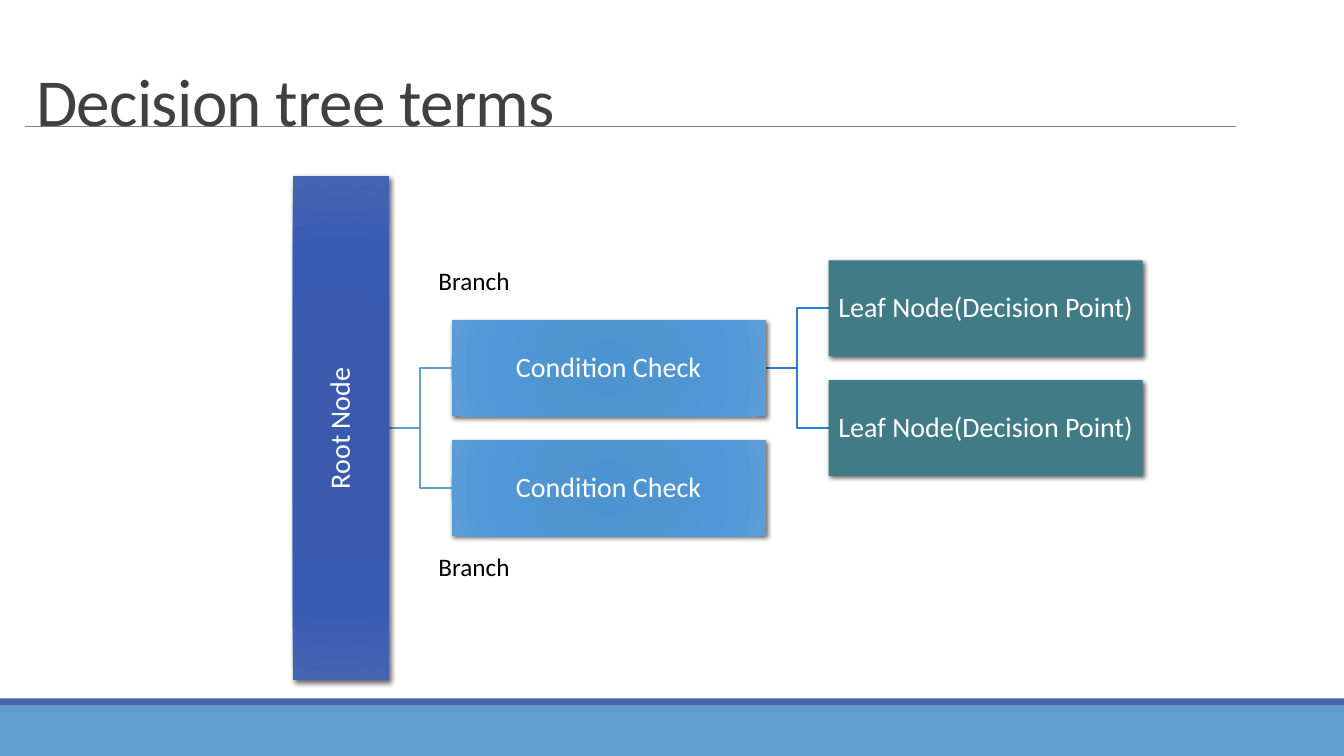
"""Build the slide of decision tree terms."""
from dataclasses import dataclass
from typing import Any

from pptx import Presentation
from pptx.dml.color import RGBColor
from pptx.enum.shapes import MSO_CONNECTOR, MSO_SHAPE
from pptx.enum.text import MSO_ANCHOR, PP_ALIGN
from pptx.oxml import parse_xml
from pptx.oxml.ns import nsdecls, qn
from pptx.util import Cm, Pt

HUES = {
    "sky": "629DD1", "navy": "4A66AC", "rule": "808080", "title": "404040",
    "link": "297FD5", "leaf": "417B85", "white": "FFFFFF", "black": "000000",
}
BLENDS = {
    "root": ("3759AE", "3A5BAD", "395BB2", "4564B1"),
    "check": ("4C93D2", "4F95D2", "4E97D8", "5C9DD7"),
}
STOPS = (0, 34, 70, 100)
WIDE, TALL = 33.87, 19.05
NODE_W, NODE_H, GAP, STEP = 7.92, 2.42, 1.58, 1.51
ROOT_X, ROOT_W, MID_Y = 8.59, 12.7, 10.79
CHECK_X = ROOT_X + NODE_H / 2 + GAP
LEAF_X = CHECK_X + NODE_W + GAP

FRAME = {"word_wrap": True}
NODE_FRAME = FRAME | {"vertical_anchor": MSO_ANCHOR.MIDDLE} | {
    f"margin_{side}": Cm(0.03) for side in ("left", "top", "right", "bottom")}
NODE_PARA = {"alignment": PP_ALIGN.CENTER, "line_spacing": 0.9}


@dataclass
class Node:
    text: str
    left: float
    row: int
    hue: str
    width: float = NODE_W
    turn: int = 0


@dataclass
class Link:
    left: float
    start: int
    end: int
    hue: str


@dataclass
class Bar:
    top: float
    height: float
    hue: str


BARS = (Bar(17.78, 1.27, "sky"), Bar(17.6, 0.18, "navy"))
LINKS = (
    Link(CHECK_X - GAP, 0, 1, "sky"), Link(LEAF_X - GAP, -1, 0, "link"),
    Link(LEAF_X - GAP, -1, -2, "link"), Link(CHECK_X - GAP, 0, -1, "sky"),
)
NODES = (
    Node("Root Node", ROOT_X - ROOT_W / 2, 0, "root", ROOT_W, 270),
    Node("Condition Check", CHECK_X, -1, "check"),
    Node("Leaf Node(Decision Point)", LEAF_X, -2, "leaf"),
    Node("Leaf Node(Decision Point)", LEAF_X, 0, "leaf"),
    Node("Condition Check", CHECK_X, 1, "check"),
)


def apply(thing: Any, format: dict[str, Any]) -> None:
    """Set each format value on the thing."""
    for name, value in format.items():
        setattr(thing, name, value)


def tint(hue: str) -> RGBColor:
    """Give the colour of a named hue."""
    return RGBColor.from_string(HUES[hue])


def row_y(row: int) -> float:
    """Give the centre height of a row."""
    return MID_Y + row * STEP


def write(shape: Any, text: str, size: int, hue: str, frame: dict[str, Any],
          para: dict[str, Any]) -> Any:
    """Fill a shape with one line of text."""
    apply(shape.text_frame, frame)
    line = shape.text_frame.paragraphs[0]
    apply(line, para)
    run = line.add_run()
    run.text = text
    apply(run.font, {"name": "Calibri", "size": Pt(size)})
    run.font.color.rgb = tint(hue)
    return run


def add_box(slide: Any, left: float, top: float, width: float, height: float,
            hue: str) -> Any:
    """Draw a box with a plain or blended fill."""
    box = slide.shapes.add_shape(
        MSO_SHAPE.RECTANGLE, Cm(left), Cm(top), Cm(width), Cm(height))
    if hue in BLENDS:
        stops = "".join(
            f'<a:gs pos="{stop * 1000}"><a:srgbClr val="{shade}"/></a:gs>'
            for stop, shade in zip(STOPS, BLENDS[hue]))
        edges = " ".join(f'{side}="100000"' for side in "ltrb")
        box.element.spPr.insert(2, parse_xml(
            f'<a:gradFill {nsdecls("a")} rotWithShape="1"><a:gsLst>{stops}</a:gsLst>'
            f'<a:path path="circle"><a:fillToRect {edges}/></a:path></a:gradFill>'))
    else:
        box.fill.solid()
        box.fill.fore_color.rgb = tint(hue)
    box.line.fill.background()
    box.shadow.inherit = False
    return box


def add_node(slide: Any, node: Node) -> None:
    """Draw a tree node with its shadow and text."""
    box = add_box(slide, node.left, row_y(node.row) - NODE_H / 2,
                  node.width, NODE_H, node.hue)
    box.rotation = node.turn
    box.element.spPr.find(qn("a:effectLst")).append(parse_xml(
        f'<a:outerShdw {nsdecls("a")} blurRad="{Pt(3.5)}" dist="{Pt(2)}" '
        'dir="2700000" algn="br" rotWithShape="0"><a:srgbClr val="000000">'
        '<a:alpha val="60000"/></a:srgbClr></a:outerShdw>'))
    write(box, node.text, 20, "white", NODE_FRAME, NODE_PARA)


def add_line(slide: Any, kind: Any, start: tuple[float, float],
             end: tuple[float, float], hue: str, weight: float) -> None:
    """Draw a line with no shadow."""
    line = slide.shapes.add_connector(kind, *map(Cm, start + end))
    line.line.color.rgb = tint(hue)
    line.line.width = Pt(weight)
    line.element.spPr.append(parse_xml(f'<a:effectLst {nsdecls("a")}/>'))


def add_text(slide: Any, left: float, top: float, width: float,
             height: float) -> Any:
    """Place an empty text box."""
    return slide.shapes.add_textbox(Cm(left), Cm(top), Cm(width), Cm(height))


def main() -> None:
    """Build and save the deck."""
    deck = Presentation()
    apply(deck, {"slide_width": Cm(WIDE), "slide_height": Cm(TALL)})
    slide = deck.slides.add_slide(deck.slide_layouts[6])
    for bar in BARS:
        add_box(slide, 0, bar.top, WIDE, bar.height, bar.hue)
    add_line(slide, MSO_CONNECTOR.STRAIGHT, (0.64, 3.18), (31.14, 3.18), "rule", 0.5)
    title = write(add_text(slide, 0.66, 1.27, 30.35, 2.39), "Decision tree terms",
                  48, "title", FRAME | {"vertical_anchor": MSO_ANCHOR.BOTTOM},
                  {"line_spacing": 0.85})
    title.font._element.set("spc", "-50")
    for link in LINKS:
        add_line(slide, MSO_CONNECTOR.ELBOW, (link.left, row_y(link.start)),
                 (link.left + GAP, row_y(link.end)), link.hue, 1.25)
    for node in NODES:
        add_node(slide, node)
    for top in (6.55, 13.77):
        write(add_text(slide, 10.8, top, 2.72, 1.02), "Branch", 18, "black", FRAME, {})
    deck.save("out.pptx")


main()
